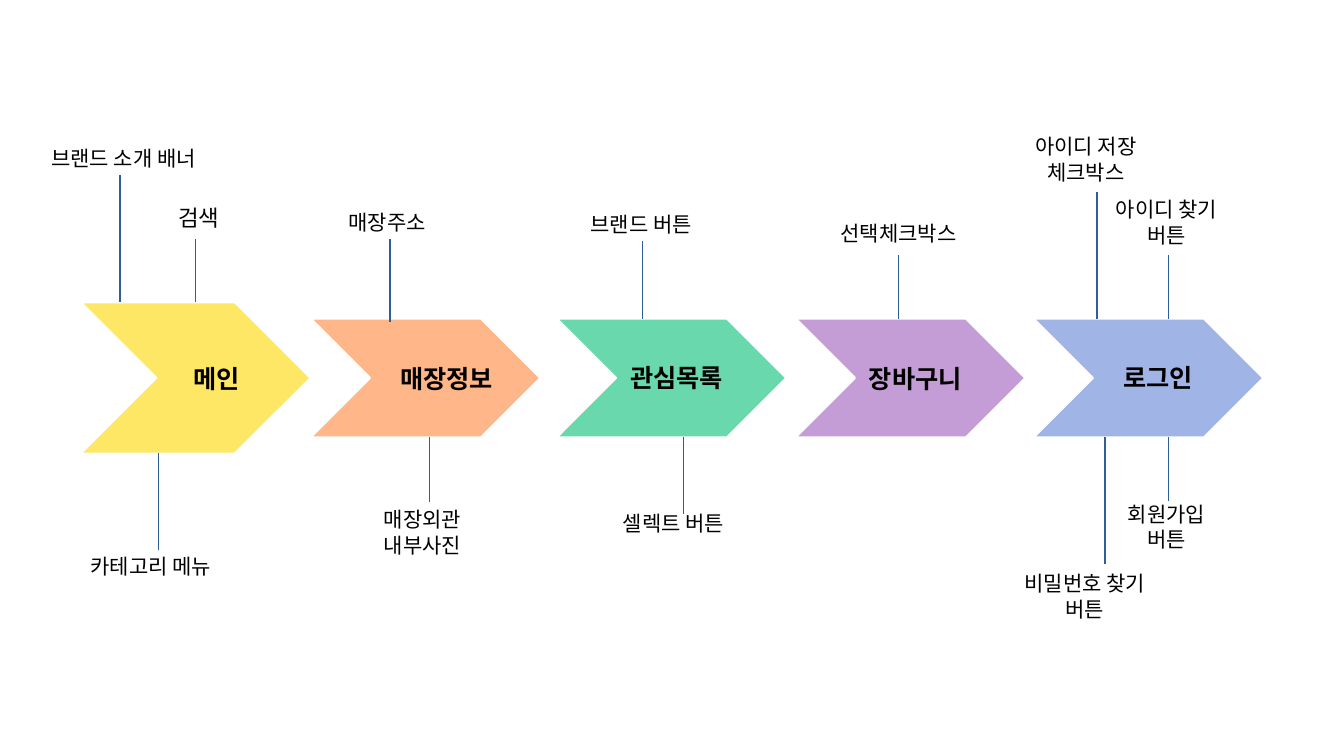
from lxml.etree import SubElement
from pptx import Presentation
from pptx.dml.color import RGBColor
from pptx.enum.shapes import MSO_CONNECTOR as Connector, MSO_SHAPE as Shape
from pptx.enum.text import MSO_AUTO_SIZE as AutoSize, PP_ALIGN as Align
from pptx.oxml.ns import qn
from pptx.util import Inches, Pt

FONT = "Noto Sans CJK KR"
BLACK, WHITE, BLUE = "000000", "FFFFFF", "2E5F9A"
LINE_HEIGHT = 1.22

STAGES = [
    ("메인", "FFE766", (0.8, 3, 2.28, 1.5), (1.82, 3.55, 0.79)),
    ("매장정보", "FFB689", (3.08, 3.16, 2.28, 1.18), (3.87, 3.55, 1.42)),
    ("관심목록", "69D8AD", (5.52, 3.16, 2.28, 1.18), (6.15, 3.54, 1.42)),
    ("장바구니", "C49DD6", (7.89, 3.16, 2.28, 1.18), (8.52, 3.55, 1.42)),
    ("로그인", "A0B4E6", (10.25, 3.16, 2.28, 1.18), (11.04, 3.54, 1.42)),
]

FEATURES = [
    (["브랜드 소개 배너"], (0.41, 1.39, 1.81), 15, (1.19, 1.74, 3)),
    (["검색"], (1.67, 1.97, 0.79), 16, (1.94, 2.37, 3)),
    (["카테고리 메뉴"], (0.8, 5.44, 1.57), 15, (1.57, 4.49, 5.46)),
    (["매장주소"], (3.36, 2.03, 1.14), 15, (3.87, 2.37, 3.19)),
    (["매장외관", "내부사진"], (3.64, 4.97, 1.1), 15, (4.26, 4.34, 4.98)),
    (["브랜드 버튼"], (5.76, 2.05, 1.38), 15, (6.37, 2.39, 3.16)),
    (["셀렉트 버튼"], (6.08, 5.01, 1.38), 15, (6.78, 4.34, 5.1)),
    (["선택체크박스"], (8.24, 2.13, 1.54), 15, (8.91, 2.53, 3.16)),
    (["아이디 저장", "체크박스"], (10, 1.27, 1.54), 15, (10.88, 1.9, 3.16)),
    (["아이디 찾기", "버튼"], (10.8, 1.9, 1.54), 15, (11.59, 2.53, 3.16)),
    (["비밀번호 찾기", "버튼"], (9.99, 5.61, 1.54), 15, (10.96, 4.34, 5.6)),
    (["회원가입", "버튼"], (10.8, 4.92, 1.54), 15, (11.59, 4.34, 4.97)),
]


def color(hex_value):
    return RGBColor.from_string(hex_value)


class FlowSlide:
    """Draws the stages and features of a screen flow on one slide."""

    def __init__(self, slide):
        self.shapes = slide.shapes

    def chevron(self, box, fill):
        stage = self.shapes.add_shape(Shape.CHEVRON, *map(Inches, box))
        stage.shadow.inherit = False
        stage.fill.solid()
        stage.fill.fore_color.rgb = color(fill)
        stage.line.color.rgb = color(WHITE)
        stage.line.width = Pt(1.5)

    def leader(self, x, top, bottom):
        leader = self.shapes.add_connector(
            Connector.STRAIGHT, Inches(x), Inches(top), Inches(x), Inches(bottom))
        leader.line.color.rgb = color(BLUE)
        leader.line.width = Pt(1)
        SubElement(leader._element.spPr, qn("a:effectLst"))

    def label(self, lines, place, size, bold=False):
        left, top, width = map(Inches, place)
        height = Inches(0.1) + Pt(size * LINE_HEIGHT) * len(lines)
        frame = self.shapes.add_textbox(left, top, width, height).text_frame
        frame.word_wrap = True
        frame.auto_size = AutoSize.SHAPE_TO_FIT_TEXT
        for number, line in enumerate(lines):
            paragraph = frame.add_paragraph() if number else frame.paragraphs[0]
            paragraph.alignment = Align.CENTER if len(lines) > 1 else Align.LEFT
            paragraph.line_spacing = Pt(size * LINE_HEIGHT)
            run = paragraph.add_run()
            run.text = line
            run.font.name = FONT
            run.font.size = Pt(size)
            run.font.bold = bold
            run.font.color.rgb = color(BLACK)
            SubElement(run.font._element, qn("a:ea"), typeface=FONT)


def main():
    deck = Presentation()
    deck.slide_width, deck.slide_height = Inches(13.33), Inches(7.5)
    flow = FlowSlide(deck.slides.add_slide(deck.slide_layouts[6]))
    for name, fill, box, name_place in STAGES:
        flow.chevron(box, fill)
        flow.label([name], name_place, 18, bold=True)
    for lines, place, size, leader in FEATURES:
        flow.leader(*leader)
        flow.label(lines, place, size)
    deck.save("out.pptx")


if __name__ == "__main__":
    main()
